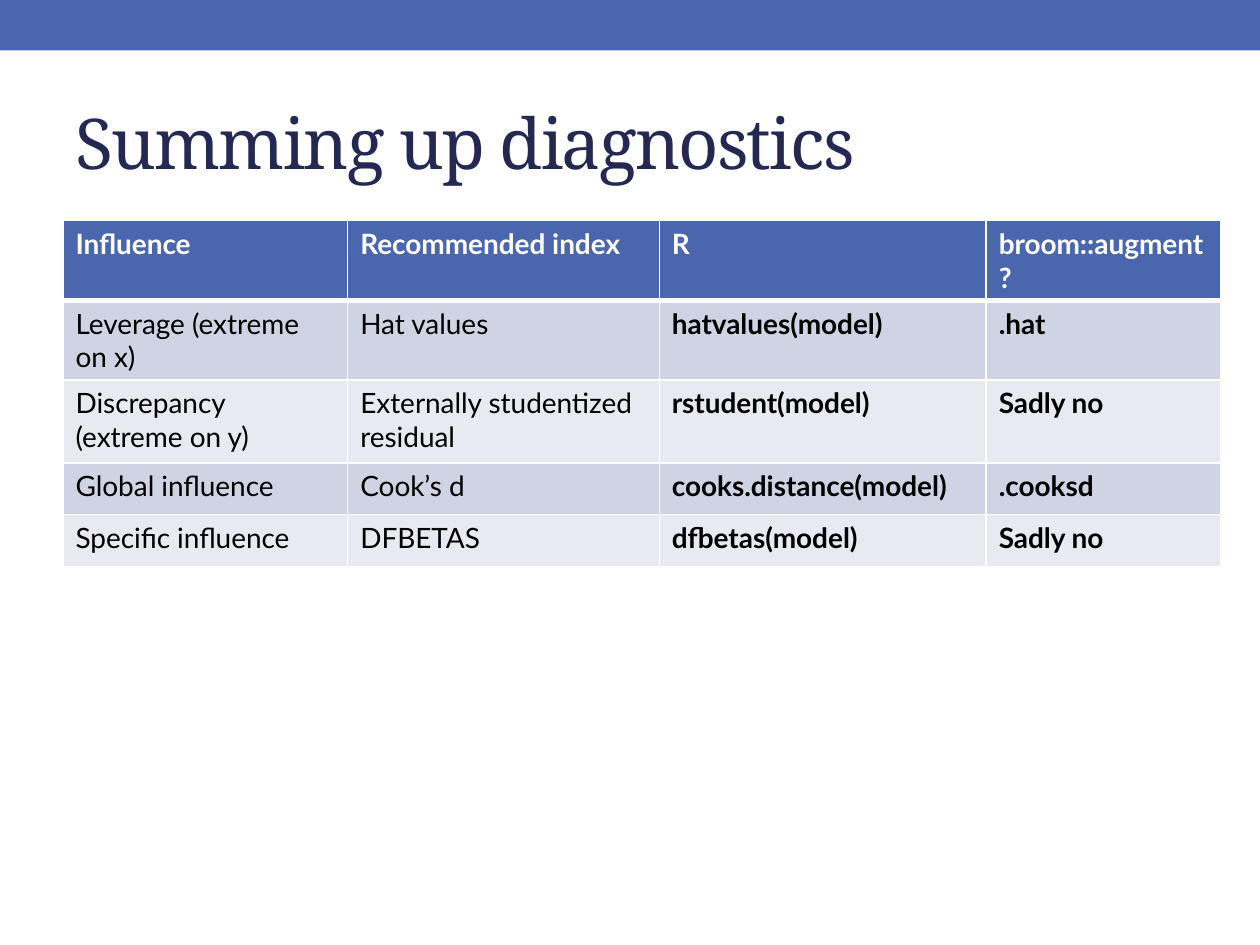
"""Build the slide that sums up regression diagnostics in a table."""
from lxml import etree
from pptx import Presentation
from pptx.dml.color import RGBColor
from pptx.enum.shapes import MSO_SHAPE
from pptx.enum.text import MSO_ANCHOR, PP_ALIGN
from pptx.oxml.ns import qn
from pptx.util import Cm, Pt

RECT = MSO_SHAPE.RECTANGLE
MIDDLE = MSO_ANCHOR.MIDDLE
LEFT = PP_ALIGN.LEFT
BLUE = RGBColor(0x4A, 0x66, 0xAC)
NAVY = RGBColor(0x24, 0x28, 0x52)
DARK = RGBColor(0xD0, 0xD3, 0xE3)
PALE = RGBColor(0xE9, 0xEA, 0xF1)
WHITE = RGBColor(0xFF, 0xFF, 0xFF)
BLACK = RGBColor(0, 0, 0)

ROWS = [
    ("Influence", "Recommended index", "R", "broom::augment?"),
    ("Leverage (extreme on x)", "Hat values", "hatvalues(model)", ".hat"),
    ("Discrepancy (extreme on y)", "Externally studentized residual",
     "rstudent(model)", "Sadly no"),
    ("Global influence", "Cook’s d", "cooks.distance(model)", ".cooksd"),
    ("Specific influence", "DFBETAS", "dfbetas(model)", "Sadly no"),
]
WIDTHS = [5.74, 6.28, 6.59, 4.73]
HEIGHTS = [1.04, 1.04, 1.68, 1.04, 1.04]


def add_run(frame, text, font, size, color, bold=False):
    run = frame.paragraphs[0].add_run()
    run.text = text
    run.font.name = font
    run.font.size = Pt(size)
    run.font.bold = bold
    run.font.color.rgb = color
    return run


def set_edges(cell, sizes):
    props = cell._tc.get_or_add_tcPr()
    for spot, (side, size) in enumerate(sizes.items()):
        line = etree.Element(qn("a:ln" + side), w=str(Pt(size)))
        fill = etree.SubElement(line, qn("a:solidFill"))
        etree.SubElement(fill, qn("a:srgbClr"), val=str(WHITE))
        props.insert(spot, line)


prs = Presentation()
prs.slide_width = Cm(25.4)
prs.slide_height = Cm(19.05)
slide = prs.slides.add_slide(prs.slide_layouts[5])
shapes = slide.shapes

bar = shapes.add_shape(RECT, 0, 0, prs.slide_width, Cm(1.02))
bar.shadow.inherit = False
bar.fill.solid()
bar.fill.fore_color.rgb = BLUE
bar.line.fill.background()

title = shapes.title
title.left, title.top = Cm(1.27), Cm(1.48)
title.width, title.height = Cm(22.86), Cm(2.74)
title.text_frame.vertical_anchor = MIDDLE
title.text_frame.paragraphs[0].alignment = LEFT
run = add_run(title.text_frame, "Summing up diagnostics", "Noto Serif", 40, NAVY)
run.font._element.set("spc", "-100")

frame = shapes.add_table(len(ROWS), len(WIDTHS), Cm(1.27), Cm(4.45),
                         Cm(sum(WIDTHS)), Cm(sum(HEIGHTS)))
table = frame.table
for col, width in zip(table.columns, WIDTHS):
    col.width = Cm(width)
for row, height in zip(table.rows, HEIGHTS):
    row.height = Cm(height)

for r, texts in enumerate(ROWS):
    head = r == 0
    for c, text in enumerate(texts):
        cell = table.cell(r, c)
        cell.fill.solid()
        cell.fill.fore_color.rgb = BLUE if head else DARK if r % 2 else PALE
        add_run(cell.text_frame, text, "Lato", 16,
                WHITE if head else BLACK, head or c > 1)
        set_edges(cell, {"L": 1, "R": 1, "T": 3 if r == 1 else 1,
                         "B": 3 if head else 1})

prs.save("out.pptx")
